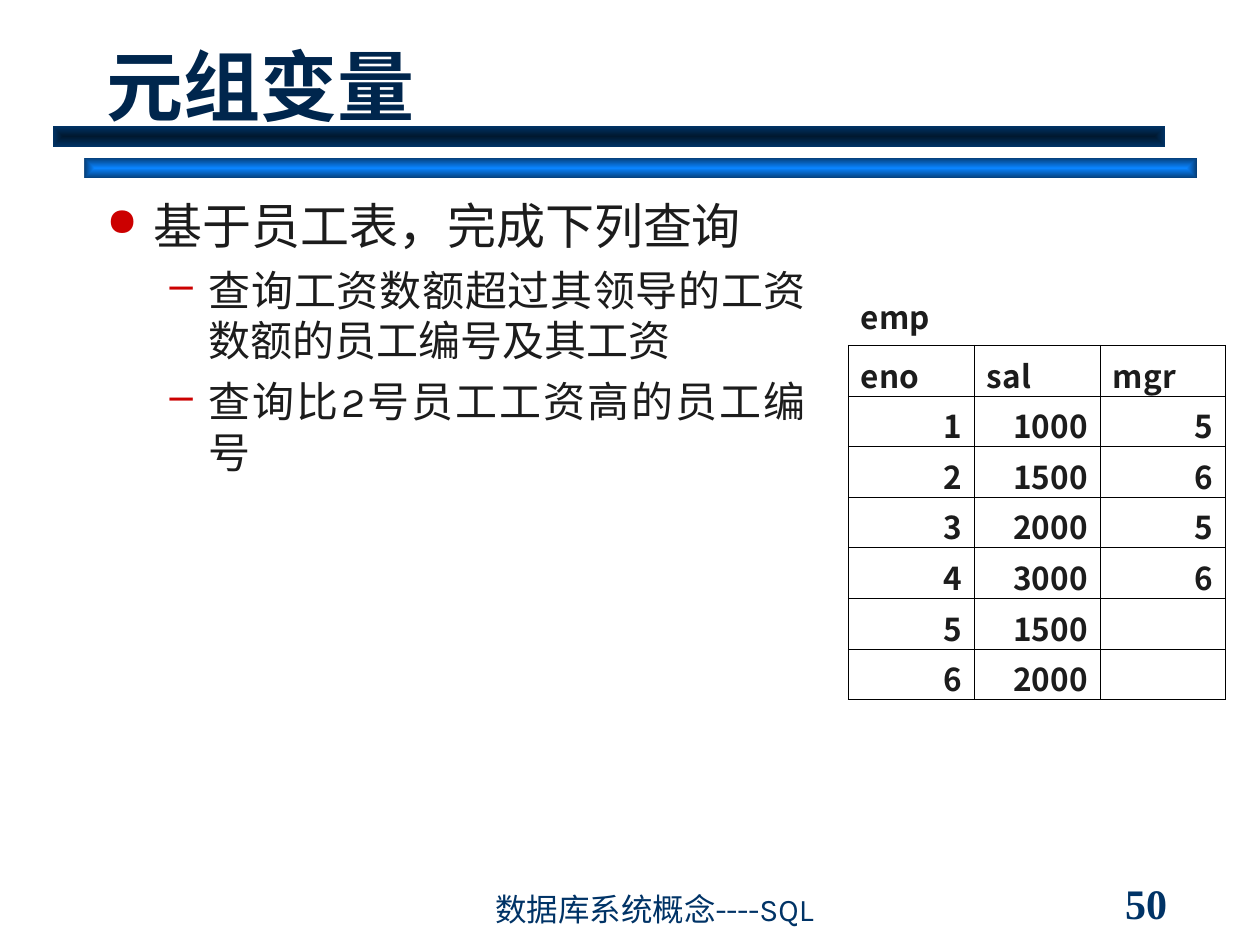
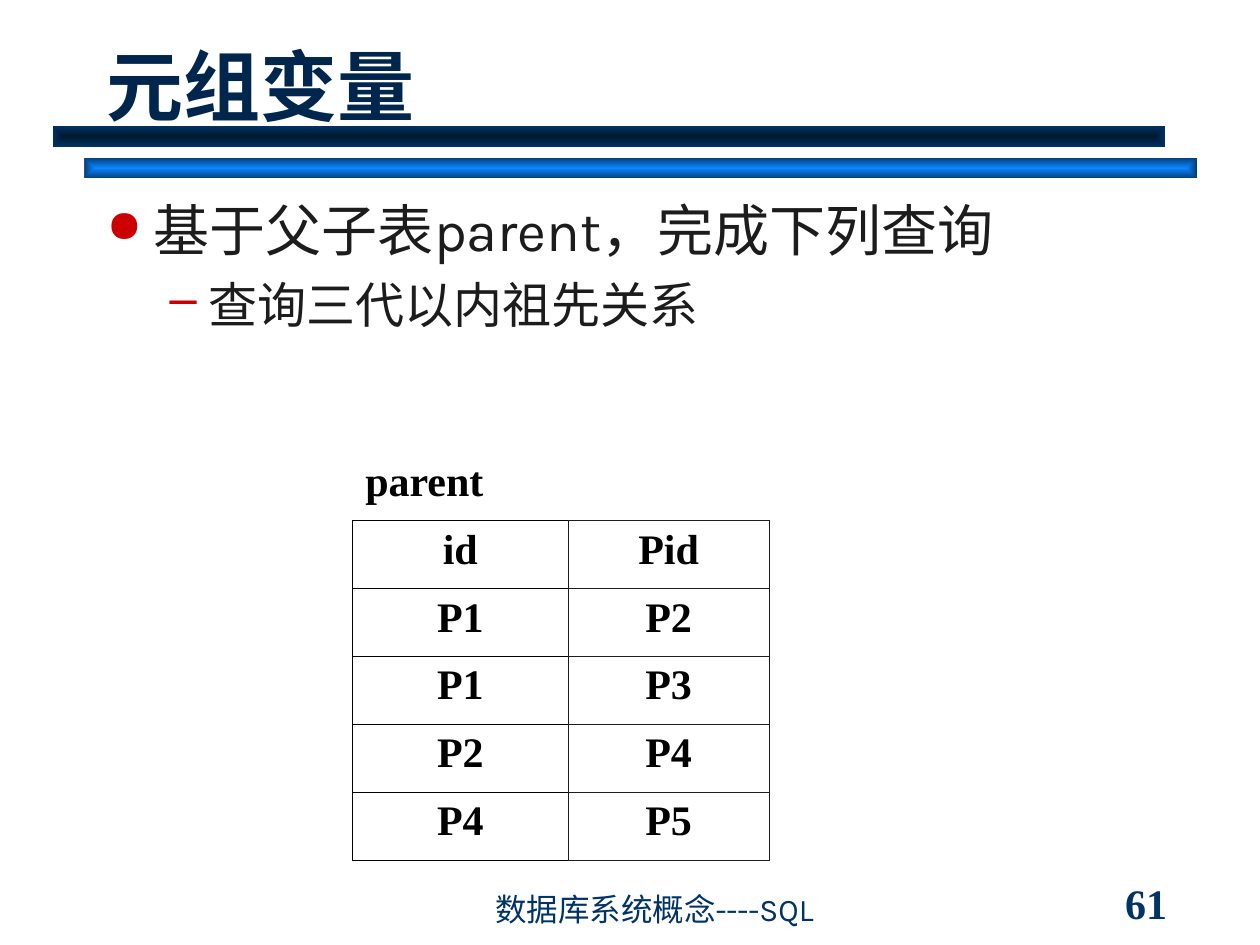
from lxml.etree import SubElement
from pptx import Presentation
from pptx.dml.color import RGBColor
from pptx.enum.shapes import MSO_SHAPE as Preset
from pptx.enum.text import MSO_ANCHOR as Anchor, PP_ALIGN as Align
from pptx.oxml import parse_xml
from pptx.oxml.ns import nsdecls, qn
from pptx.util import Cm, Pt

color = RGBColor.from_string
NAVY, INK, BLACK, RED = "003366", "1C1C1C", "000000", "CC0000"
CJK = "Noto Sans CJK SC"
NO_STYLE = "{2D5ABB26-0587-4C30-8999-92F81FD0307C}"

TITLE = {"name": "Karla", "size": Pt(44), "bold": True, "hex": "00264D"}
FOOTER = {"name": "Karla", "size": Pt(18), "hex": NAVY}
NUMBER = {"name": "Times New Roman", "size": Pt(24), "bold": True, "hex": NAVY}
EMP = {"name": CJK, "size": Pt(18), "bold": True, "hex": INK}
PARENT = {"name": "Times New Roman", "size": Pt(24), "bold": True, "hex": BLACK}

BARS = [
    (1.7, 3.18, "0A84FF", "053D76"),
    (1.06, 2.54, "00182F", NAVY),
]
LEVELS = [
    {"marL": Cm(0.95), "indent": -Cm(0.95), "mark": "●", "percent": 80},
    {"marL": Cm(2.06), "indent": -Cm(0.79), "mark": "–", "percent": 100},
]

SLIDES = [
    {
        "number": "50",
        "body": (14.6, 13.55),
        "points": [
            (0, 28, 0, "基于员工表，完成下列查询"),
            (1, 24, 6, "查询工资数额超过其领导的工资数额的员工编号及其工资"),
            (1, 24, 6, "查询比2号员工工资高的员工编号"),
        ],
        "place": (17.1, 5.33),
        "columns": [2.54, 2.54, 2.52],
        "heights": (1.63, 1.02),
        "rows": [
            ["emp", "", ""],
            ["eno", "sal", "mgr"],
            ["1", "1000", "5"],
            ["2", "1500", "6"],
            ["3", "2000", "5"],
            ["4", "3000", "6"],
            ["5", "1500", ""],
            ["6", "2000", ""],
        ],
        "format": EMP,
        "anchor": Anchor.BOTTOM,
        "alignments": (Align.LEFT, Align.LEFT, Align.RIGHT),
        "borders": [BLACK, BLACK, BLACK],
    },
    {
        "number": "61",
        "body": (19.2, 4.32),
        "points": [
            (0, 32, 0, "基于父子表parent，完成下列查询"),
            (1, 28, 7, "查询三代以内祖先关系"),
        ],
        "place": (7.11, 9.12),
        "columns": [4.34, 4.06],
        "heights": (1.37, 1.37),
        "rows": [
            ["parent", ""],
            ["id", "Pid"],
            ["P1", "P2"],
            ["P1", "P3"],
            ["P2", "P4"],
            ["P4", "P5"],
        ],
        "format": PARENT,
        "anchor": Anchor.TOP,
        "alignments": (Align.LEFT, Align.CENTER, Align.CENTER),
        "borders": [BLACK, INK],
    },
]


def write(paragraph, text, format_values):
    run = paragraph.add_run()
    run.text = text
    for key, value in format_values.items():
        if key == "hex":
            run.font.color.rgb = color(value)
        else:
            setattr(run.font, key, value)
    SubElement(run.font._element, qn("a:ea"), typeface=CJK)


def add_box(slide, left, top, width, height, anchor, wrap=True):
    shape = slide.shapes.add_textbox(Cm(left), Cm(top), Cm(width), Cm(height))
    shape.text_frame.word_wrap = wrap
    shape.text_frame.vertical_anchor = anchor
    return shape.text_frame


presentation = Presentation()
presentation.slide_width = Cm(25.4)
presentation.slide_height = Cm(19.05)

for content in SLIDES:
    slide = presentation.slides.add_slide(presentation.slide_layouts[6])

    for left, top, center, edge in BARS:
        bar = slide.shapes.add_shape(Preset.RECTANGLE, Cm(left), Cm(top), Cm(22.43), Cm(0.42))
        bar.shadow.inherit = False
        bar.line.fill.background()
        bar.fill.background()
        properties = bar._element.spPr
        gradient = parse_xml(
            f'<a:gradFill {nsdecls("a")} rotWithShape="1"><a:gsLst>'
            f'<a:gs pos="0"><a:srgbClr val="{center}"/></a:gs>'
            f'<a:gs pos="100000"><a:srgbClr val="{edge}"/></a:gs></a:gsLst>'
            '<a:path path="rect"><a:fillToRect l="50000" t="50000" r="50000" b="50000"/>'
            '</a:path></a:gradFill>'
        )
        properties.replace(properties.find(qn("a:noFill")), gradient)

    number = add_box(slide, 22.43, 17.78, 2.74, 0.84, Anchor.MIDDLE, wrap=False)
    write(number.paragraphs[0], content["number"], NUMBER)
    footer = add_box(slide, 9.73, 17.98, 10.36, 0.84, Anchor.BOTTOM)
    write(footer.paragraphs[0], "数据库系统概念----SQL", FOOTER)
    title = add_box(slide, 1.9, 0.43, 21.59, 2.34, Anchor.BOTTOM)
    write(title.paragraphs[0], "元组变量", TITLE)

    body = add_box(slide, 1.9, 3.81, *content["body"], Anchor.TOP)
    for index, (level, size, space, text) in enumerate(content["points"]):
        paragraph = body.add_paragraph() if index else body.paragraphs[0]
        paragraph.level = level
        paragraph.alignment = Align.JUSTIFY
        bullet = LEVELS[level]
        properties = paragraph._p.get_or_add_pPr()
        for key in ("marL", "indent"):
            properties.set(key, str(bullet[key]))
        SubElement(SubElement(properties, qn("a:buClr")), qn("a:srgbClr"), val=RED)
        SubElement(properties, qn("a:buSzPct"), val=str(bullet["percent"] * 1000))
        SubElement(properties, qn("a:buChar"), char=bullet["mark"])
        if space:
            paragraph.space_before = Pt(space)
        write(paragraph, text, {"name": "Karla", "size": Pt(size), "hex": INK})

    rows, columns = content["rows"], content["columns"]
    caption_height, row_height = content["heights"]
    left, top = content["place"]
    height = caption_height + row_height * (len(rows) - 1)
    table = slide.shapes.add_table(
        len(rows), len(columns), Cm(left), Cm(top), Cm(sum(columns)), Cm(height)
    ).table
    table.first_row = table.horz_banding = False
    table._tbl.tblPr.find(qn("a:tableStyleId")).text = NO_STYLE
    for column, width in zip(table.columns, columns):
        column.width = Cm(width)
    for row_index, values in enumerate(rows):
        table.rows[row_index].height = Cm(row_height if row_index else caption_height)
        for column_index, value in enumerate(values):
            cell = table.cell(row_index, column_index)
            cell.vertical_anchor = content["anchor"]
            properties = cell._tc.get_or_add_tcPr()
            for side in ("lnL", "lnR", "lnT", "lnB") if row_index else ("lnB",):
                line = SubElement(properties, qn(f"a:{side}"), w=str(Pt(0.45)))
                fill = SubElement(line, qn("a:solidFill"))
                SubElement(fill, qn("a:srgbClr"), val=content["borders"][column_index])
            cell.fill.background()
            if value:
                paragraph = cell.text_frame.paragraphs[0]
                paragraph.alignment = content["alignments"][min(row_index, 2)]
                write(paragraph, value, content["format"])

presentation.save("out.pptx")
